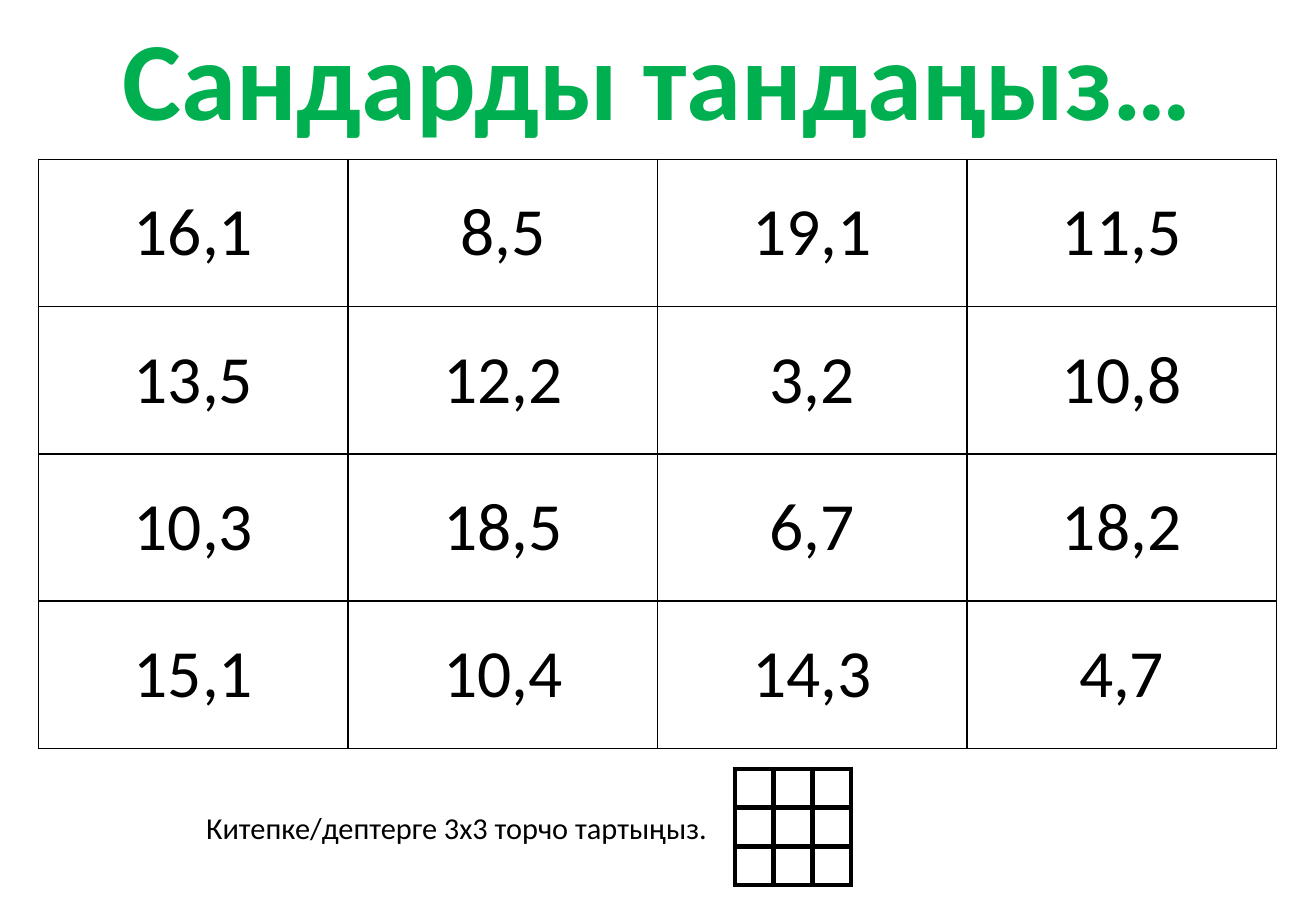
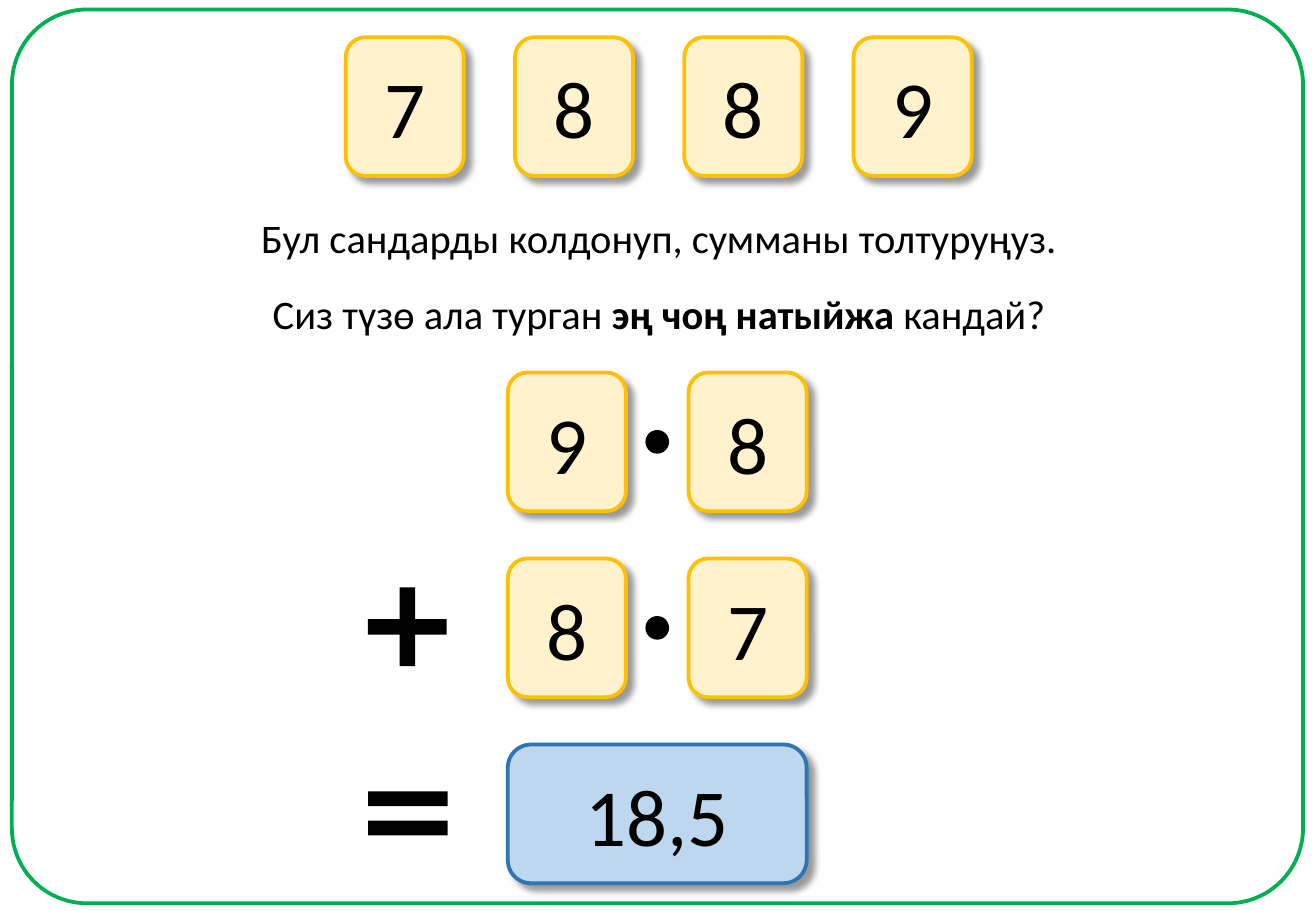
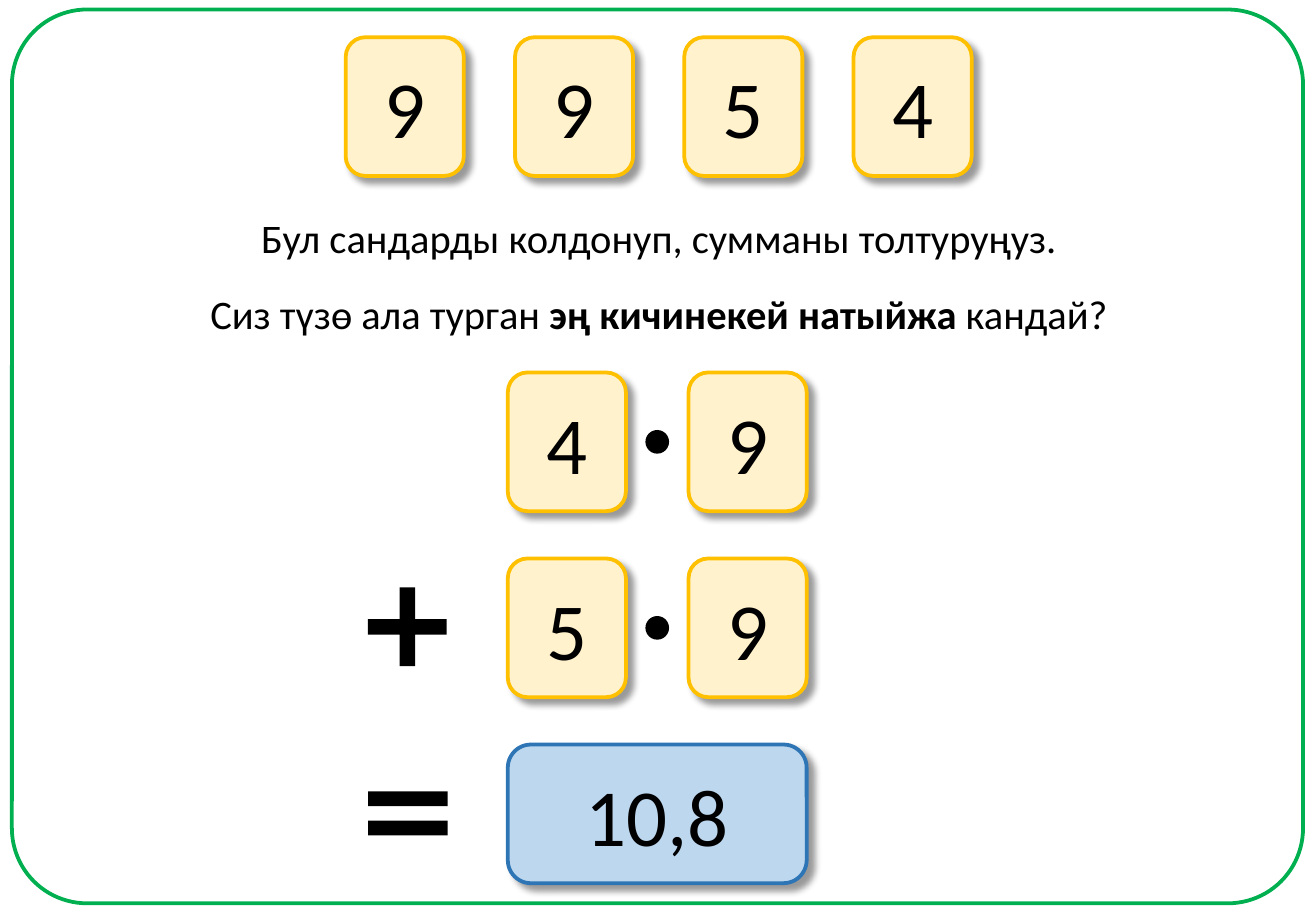
from lxml.etree import SubElement
from pptx import Presentation
from pptx.dml.color import RGBColor
from pptx.enum.shapes import MSO_SHAPE
from pptx.enum.text import MSO_ANCHOR, MSO_AUTO_SIZE, PP_ALIGN
from pptx.oxml.ns import qn
from pptx.util import Cm, Pt

COLORS = {
    "ink": "000000",
    "paper": "FFFFFF",
    "green": "00B050",
    "card": "FFF2CC",
    "card_edge": "FFC000",
    "result": "BDD7EE",
    "result_edge": "2E75B6",
}
FONT = "Calibri"

NUMBERS = [
    ["16,1", "8,5", "19,1", "11,5"],
    ["13,5", "12,2", "3,2", "10,8"],
    ["10,3", "18,5", "6,7", "18,2"],
    ["15,1", "10,4", "14,3", "4,7"],
]
PUZZLES = [
    ("7889", "эң чоң натыйжа ", ["98", "87"], "18,5"),
    ("9954", "эң кичинекей натыйжа ", ["49", "59"], "10,8"),
]

# Card grid, in centimetres
CARD_W, CARD_H = 2.47, 2.9
DIGITS_LEFT, DIGITS_TOP, DIGITS_STEP = 7.23, 0.78, 3.54
SUM_LEFT, SUM_TOP = 10.62, 7.79
SUM_STEP_X, SUM_STEP_Y = 3.78, 3.89
DOT = 0.46
SIGN_LEFT = 7.4
PROMPT_LEFT, PROMPT_W, PROMPT_H = 3.78, 20, 1.27


def rgb(name):
    return RGBColor.from_string(COLORS[name])


def lengths(box):
    return [Cm(value) for value in box]


class Deck:
    """Holds the shared style and the slide being built."""

    def __init__(self):
        self.presentation = Presentation()
        self.presentation.slide_width = Cm(27.52)
        self.presentation.slide_height = Cm(19.05)
        self.slide = None

    def new_slide(self):
        layout = self.presentation.slide_layouts[5]
        self.slide = self.presentation.slides.add_slide(layout)

    def style(self, paragraph, size, color="ink", bold=None, align=PP_ALIGN.CENTER):
        paragraph.alignment = align
        font = paragraph.font
        font.name, font.size, font.bold = FONT, Pt(size), bold
        font.color.rgb = rgb(color)

    def title(self, text, box, size, color="ink", bold=False):
        title = self.slide.shapes.title
        title.left, title.top, title.width, title.height = lengths(box)
        frame = title.text_frame
        frame.text = text
        frame.word_wrap = True
        frame.auto_size = MSO_AUTO_SIZE.NONE
        frame.vertical_anchor = MSO_ANCHOR.MIDDLE
        self.style(frame.paragraphs[0], size, color, bold)

    def text(self, parts, box, size, align=PP_ALIGN.CENTER):
        """Parts are (text, bold) pairs on one line."""
        frame = self.slide.shapes.add_textbox(*lengths(box)).text_frame
        frame.word_wrap = True
        line = frame.paragraphs[0]
        for words, bold in parts:
            run = line.add_run()
            run.text = words
            if bold:
                run.font.bold = True
        self.style(line, size, align=align)

    def shape(self, kind, box, fill=None, edge=None, width=2.25, adjust=()):
        shape = self.slide.shapes.add_shape(kind, *lengths(box))
        shape.shadow.inherit = False
        for index, value in enumerate(adjust):
            shape.adjustments[index] = value
        if fill:
            shape.fill.solid()
            shape.fill.fore_color.rgb = rgb(fill)
        else:
            shape.fill.background()
        if edge:
            shape.line.color.rgb = rgb(edge)
            shape.line.width = Pt(width)
        else:
            shape.line.fill.background()
        return shape

    def card(self, text, left, top, width=CARD_W, fill="card"):
        card = self.shape(MSO_SHAPE.ROUNDED_RECTANGLE, (left, top, width, CARD_H),
                          fill, fill + "_edge")
        effects = card._element.spPr.find(qn("a:effectLst"))
        shadow = SubElement(effects, qn("a:outerShdw"), blurRad=str(Pt(4)),
                            dist=str(Pt(5)), dir="2700000", algn="tl", rotWithShape="0")
        tint = SubElement(shadow, qn("a:srgbClr"), val=COLORS["ink"])
        SubElement(tint, qn("a:alpha"), val="40000")
        frame = card.text_frame
        frame.text = text
        frame.vertical_anchor = MSO_ANCHOR.MIDDLE
        self.style(frame.paragraphs[0], 48)

    def grid(self, rows, left, top, cell_w, cell_h, border, size):
        box = (left, top, cell_w * len(rows[0]), cell_h * len(rows))
        table = self.slide.shapes.add_table(len(rows), len(rows[0]), *lengths(box)).table
        table.first_row = table.horz_banding = False
        for column in table.columns:
            column.width = Cm(cell_w)
        for row, values in zip(table.rows, rows):
            row.height = Cm(cell_h)
            for cell, value in zip(row.cells, values):
                self.cell(cell, value, border, size)

    def cell(self, cell, value, border, size):
        cell.text = value
        cell.vertical_anchor = MSO_ANCHOR.MIDDLE
        cell.margin_left = cell.margin_right = cell.margin_top = cell.margin_bottom = 0
        properties = cell._tc.get_or_add_tcPr()
        for side in ("lnL", "lnR", "lnT", "lnB"):
            line = SubElement(properties, qn("a:" + side), w=str(Pt(border)))
            fill = SubElement(line, qn("a:solidFill"))
            SubElement(fill, qn("a:srgbClr"), val=COLORS["ink"])
        cell.fill.solid()
        cell.fill.fore_color.rgb = rgb("paper")
        self.style(cell.text_frame.paragraphs[0], size)


def number_slide(deck):
    deck.new_slide()
    deck.title("Сандарды тандаңыз…", (1, 0.05, 25.5, 3.07), 66, "green", True)
    deck.grid(NUMBERS, 0.81, 3.33, 6.47, 3.08, border=1, size=40)
    # Sample of the grid to draw
    deck.text([("Китепке/дептерге 3х3 торчо тартыңыз.", False)],
              (4.06, 16.79, 11.3, 1.02), 18, PP_ALIGN.LEFT)
    deck.grid([[""] * 3] * 3, 15.37, 16.08, 0.81, 0.81, border=3, size=10)


def puzzle_slide(deck, digits, goal, products, result):
    deck.new_slide()
    deck.shape(MSO_SHAPE.ROUNDED_RECTANGLE, (0.25, 0.2, 27, 18.69),
               edge="green", adjust=[0.084])
    # Available digits and the task
    for index, digit in enumerate(digits):
        deck.card(digit, DIGITS_LEFT + index * DIGITS_STEP, DIGITS_TOP)
    deck.title("Бул сандарды колдонуп, сумманы толтуруңуз.",
               (PROMPT_LEFT, 4.32, PROMPT_W, PROMPT_H), 24)
    deck.text([("Сиз түзө ала турган ", False), (goal, True), ("кандай?", False)],
              (PROMPT_LEFT, 5.92, PROMPT_W, PROMPT_H), 24)
    # Two decimal numbers, each with a point between its cards
    dot_left = SUM_LEFT + (SUM_STEP_X + CARD_W - DOT) / 2
    for row, pair in enumerate(products):
        top = SUM_TOP + row * SUM_STEP_Y
        for column, digit in enumerate(pair):
            deck.card(digit, SUM_LEFT + column * SUM_STEP_X, top)
        deck.shape(MSO_SHAPE.OVAL, (dot_left, top + (CARD_H - DOT) / 2, DOT, DOT),
                   "ink", "ink", 1)
    # Signs and the result
    deck.shape(MSO_SHAPE.MATH_PLUS, (SIGN_LEFT, 11.99, 2.24, 2.24), "ink", adjust=[0.144])
    deck.shape(MSO_SHAPE.MATH_EQUAL, (SIGN_LEFT, 15.74, 2.26, 2.54), "ink",
               adjust=[0.123, 0.118])
    deck.card(result, SUM_LEFT, SUM_TOP + 2 * SUM_STEP_Y, SUM_STEP_X + CARD_W, "result")


def main():
    deck = Deck()
    number_slide(deck)
    for puzzle in PUZZLES:
        puzzle_slide(deck, *puzzle)
    deck.presentation.save("out.pptx")


if __name__ == "__main__":
    main()
